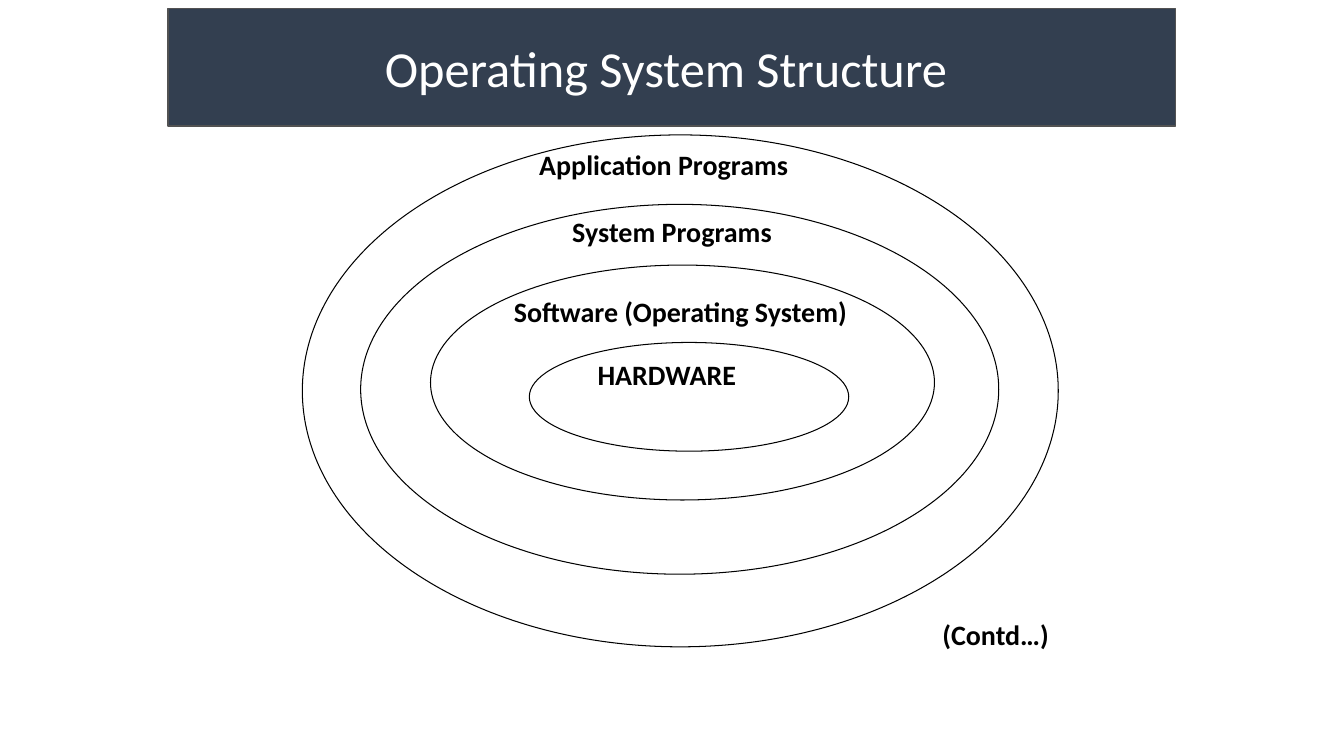
from pptx import Presentation
from pptx import util as u
from pptx.dml.color import RGBColor
from pptx.enum import shapes, text

COLORS = {"ink": "000000", "banner": "333F50", "banner_edge": "525252", "title": "FFFFFF"}
FONT = "Calibri"
LABEL_HEIGHT = 1.09

# Each layer: label, ring (left, top, width, height), label (left, top, width),
# in cm from the corner of the diagram.
LAYERS = [
    ("Application Programs", (0, 0, 19.05, 12.9), (5.72, 0.2, 8.69)),
    ("System Programs", (1.47, 1.75, 16.08, 9.32), (6.55, 1.88, 8.46)),
    ("Software (Operating System)", (3.23, 3.28, 12.7, 5.92), (5.08, 3.89, 9.73)),
    ("HARDWARE", (5.72, 5.23, 8.05, 2.74), (7.19, 5.49, 5.28)),
]


def color(name):
    return RGBColor.from_string(COLORS[name])


def write(frame, words, size=20, bold=True, ink="ink",
          align=text.PP_ALIGN.LEFT, anchor=text.MSO_ANCHOR.TOP):
    frame.word_wrap = True
    frame.auto_size = text.MSO_AUTO_SIZE.NONE
    frame.vertical_anchor = anchor
    paragraph = frame.paragraphs[0]
    paragraph.alignment = align
    run = paragraph.add_run()
    run.text = words
    run.font.name = FONT
    run.font.size = u.Pt(size)
    run.font.bold = bold
    run.font.color.rgb = color(ink)


def add_banner(slide, left, top, width, height):
    banner = slide.shapes.title
    banner.left, banner.top = u.Cm(left), u.Cm(top)
    banner.width, banner.height = u.Cm(width), u.Cm(height)
    banner.fill.solid()
    banner.fill.fore_color.rgb = color("banner")
    banner.line.color.rgb = color("banner_edge")
    banner.line.width = u.Pt(1)
    write(banner.text_frame, "Operating System Structure ", size=36, bold=False,
          ink="title", align=text.PP_ALIGN.CENTER, anchor=text.MSO_ANCHOR.MIDDLE)


def add_label(slide, words, left, top, width):
    label = slide.shapes.add_textbox(u.Cm(left), u.Cm(top), u.Cm(width), u.Cm(LABEL_HEIGHT))
    write(label.text_frame, words)


def add_ring(slide, left, top, width, height):
    ring = slide.shapes.add_shape(shapes.MSO_SHAPE.OVAL, u.Cm(left), u.Cm(top),
                                  u.Cm(width), u.Cm(height))
    ring.shadow.inherit = False
    ring.fill.background()
    ring.line.color.rgb = color("ink")
    ring.line.width = u.Pt(0.75)


def add_layers(slide, left, top):
    """Draw the nested rings from the outermost inwards, each with its label."""
    for name, (ring_x, ring_y, width, height), (label_x, label_y, label_width) in LAYERS:
        add_ring(slide, left + ring_x, top + ring_y, width, height)
        add_label(slide, name, left + label_x, top + label_y, label_width)


def main():
    deck = Presentation()
    deck.slide_width, deck.slide_height = u.Cm(33.87), u.Cm(19.05)
    slide = deck.slides.add_slide(deck.slide_layouts.get_by_name("Title Only"))
    add_banner(slide, 4.23, 0.22, 25.4, 2.96)
    add_layers(slide, 7.62, 3.4)
    add_label(slide, "(Contd…)", 23.5, 15.44, 3.81)
    deck.save("out.pptx")


if __name__ == "__main__":
    main()
